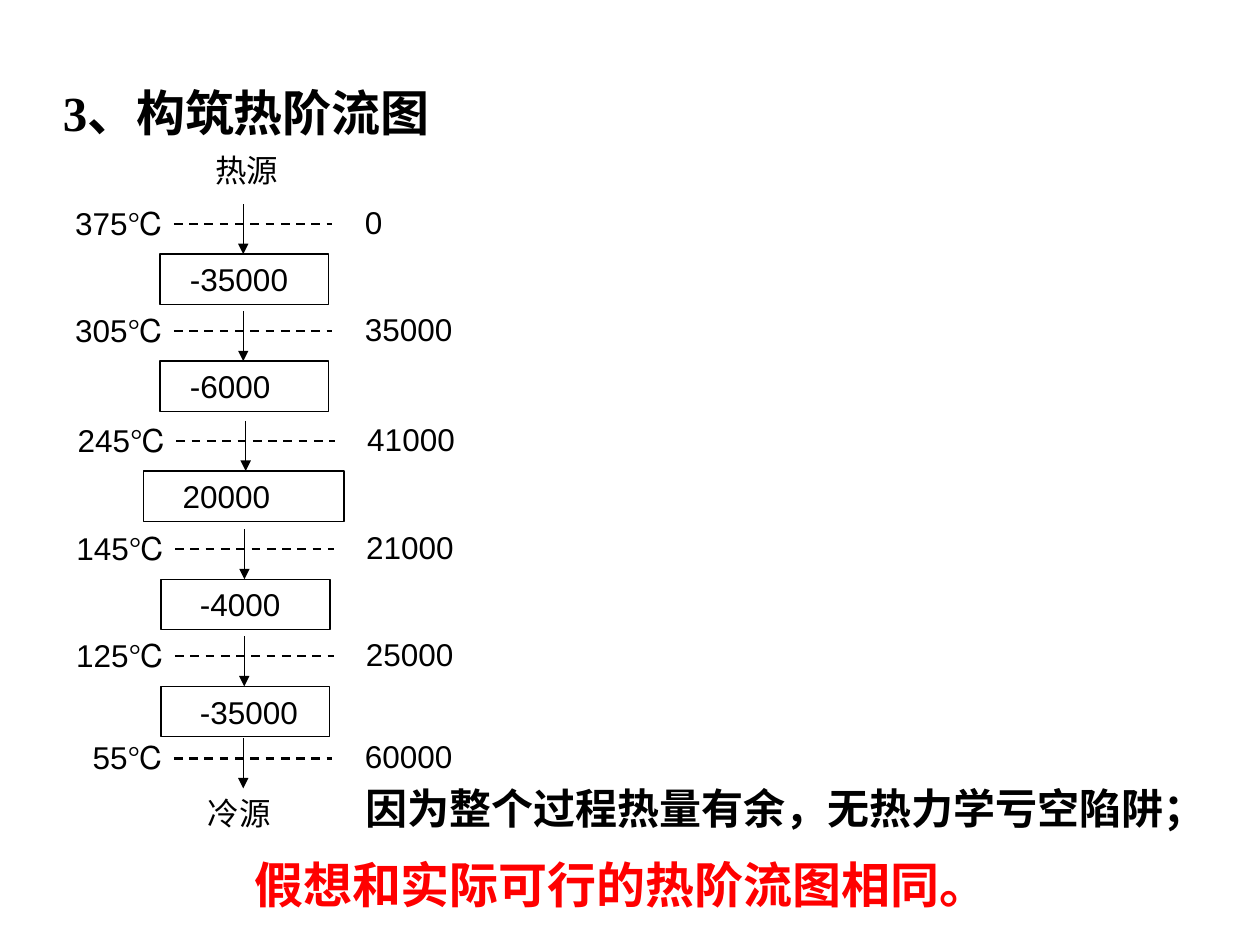
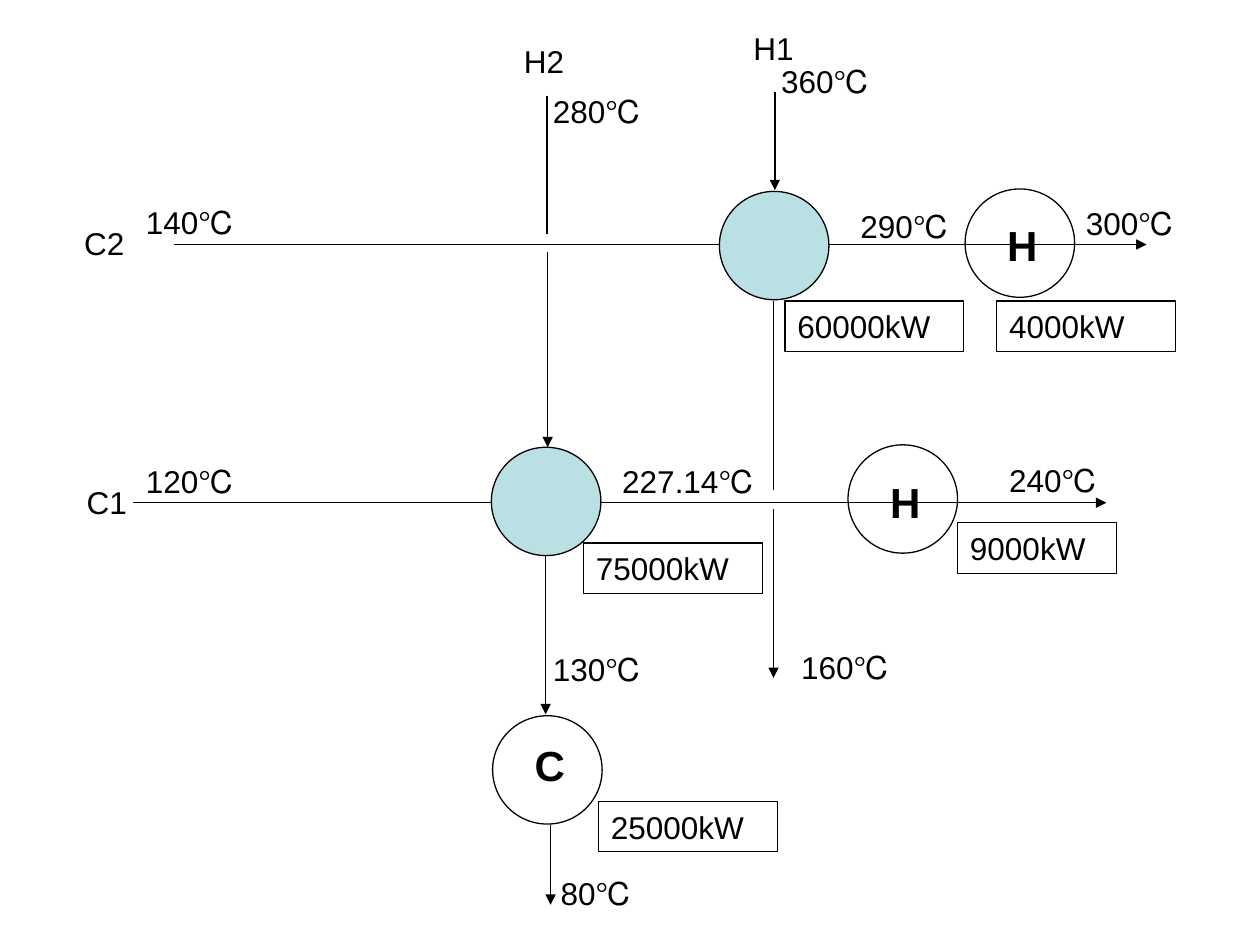
from collections import namedtuple

from lxml.etree import SubElement
from pptx import Presentation
from pptx.dml.color import RGBColor as RGB
from pptx.enum.dml import MSO_LINE as Dash
from pptx.enum.shapes import MSO_CONNECTOR as Link, MSO_SHAPE as Shape
from pptx.enum.text import MSO_ANCHOR as Anchor, MSO_AUTO_SIZE as Fit, PP_ALIGN as Align
from pptx.oxml.ns import qn
from pptx.util import Pt

Box = namedtuple("Box", "x y w h")

COLORS = {"ink": "000000", "alert": "FF0000", "exchanger": "BBE0E3"}
BODY = {"name": "Arial", "size": Pt(18), "bold": False}
TITLE = {"name": "Times New Roman", "size": Pt(28), "bold": True}
REMARK = {"name": "Arial", "size": Pt(24), "bold": True}
VERDICT = {"name": "Arial", "size": Pt(28), "bold": True}
FRAME = {"margin_left": Pt(7.2), "margin_right": Pt(7.2),
         "margin_top": Pt(3.6), "margin_bottom": Pt(3.6), "auto_size": Fit.NONE}
ROW_HEIGHT = 28.8
UNIT_WIDTH, UNIT_HEIGHT = 62.6, 61.9


def color(name):
    return RGB.from_string(COLORS[name])


def apply(target, values):
    for key, value in values.items():
        setattr(target, key, value)


def inside(box, x, y, w=0, h=ROW_HEIGHT):
    return Box(box.x + x, box.y + y, w, h)


def write(holder, text, style=BODY, ink="ink", indent=0, align=Align.LEFT,
          wrap=True, anchor=Anchor.TOP):
    frame = holder.text_frame
    apply(frame, {**FRAME, "margin_left": Pt(7.2 + indent),
                  "word_wrap": wrap, "vertical_anchor": anchor})
    paragraph = frame.paragraphs[0]
    paragraph.alignment = align
    run = paragraph.add_run()
    run.text = text
    apply(run.font, style)
    run.font.color.rgb = color(ink)


def label(slide, box, text, **look):
    write(slide.shapes.add_textbox(*map(Pt, box)), text, **look)


def outline(slide, kind, box, fill=None):
    body = slide.shapes.add_shape(kind, *map(Pt, box))
    body.shadow.inherit = False
    if fill:
        body.fill.solid()
        body.fill.fore_color.rgb = color(fill)
    else:
        body.fill.background()
    body.line.color.rgb = color("ink")
    body.line.width = Pt(0.75)
    return body


def framed(slide, box, text, indent=0):
    write(outline(slide, Shape.RECTANGLE, box), text, indent=indent)


def flow(slide, box, x1, y1, x2, y2, arrow=True, dashed=False):
    ends = (box.x + x1, box.y + y1, box.x + x2, box.y + y2)
    link = slide.shapes.add_connector(Link.STRAIGHT, *map(Pt, ends))
    link.line.color.rgb = color("ink")
    link.line.width = Pt(1.25 if dashed else 0.75)
    if dashed:
        link.line.dash_style = Dash.DASH
    if arrow:
        SubElement(link.line._get_or_add_ln(), qn("a:tailEnd"), type="triangle")
    SubElement(link._element.spPr, qn("a:effectLst"))


def cascade_level(slide, box, temperature, heat):
    label(slide, inside(box, -6, -3.5, 72.3), temperature, align=Align.RIGHT)
    flow(slide, box, 104, 0, 104, 28.6)
    flow(slide, box, 64.4, 11.5, 155, 11.5, arrow=False, dashed=True)
    label(slide, inside(box, 166.4, -4.2, 80), heat)


def cascade(slide, box):
    levels = [
        (0, 33.6, "375℃", "0"),
        (0, 94.8, "305℃", "35000"),
        (1.4, 157.5, "245℃", "41000"),
        (0.7, 219.4, "145℃", "21000"),
        (0.6, 280.6, "125℃", "25000"),
        (0, 338.9, "55℃", "60000"),
    ]
    intervals = [
        ("-35000", 56.4, 96.5, 10),
        ("-6000", 56.4, 96.5, 10),
        ("20000", 45.7, 114.5, 15),
        ("-4000", 56.4, 96.5, 15),
        ("-35000", 56.4, 96.5, 15),
    ]
    label(slide, inside(box, 81, 0, 51), "热源")
    for dx, dy, temperature, heat in levels:
        cascade_level(slide, inside(box, dx, dy), temperature, heat)
    for (dx, dy, *_), (deficit, x, width, indent) in zip(levels, intervals):
        framed(slide, inside(box, x + dx, dy + 28.6, width), deficit, indent)
    label(slide, inside(box, 56.4, 367, 96.5), "冷源", indent=20)


def cascade_slide(slide, box):
    label(slide, inside(box, 28.8, 43.2, 230.4, 41), "3、构筑热阶流图",
          style=TITLE, wrap=False, anchor=Anchor.MIDDLE)
    cascade(slide, inside(box, 35, 83, 320, 396))
    label(slide, inside(box, 202, 443.5, 494, 36),
          "因为整个过程热量有余，无热力学亏空陷阱；", style=REMARK, wrap=False)
    label(slide, inside(box, 138.2, 484.6, 435, 41),
          "假想和实际可行的热阶流图相同。", style=VERDICT, ink="alert",
          wrap=False, anchor=Anchor.MIDDLE)


def streams(slide, box):
    cold = [(59.4, 615.2, 127.7), (36.3, 592.2, 275.3)]
    hot = [
        (272.5, 42.7, 122, False),
        (273, 132, 243.6, True),
        (271.8, 305.5, 396.2, True),
        (274.6, 459.6, 505, True),
        (402.8, 40.6, 96.7, True),
        (402, 160, 268, False),
        (402, 279, 375.4, True),
    ]
    for start, end, y in cold:
        flow(slide, box, start, y, end, y)
    for x, start, end, arrow in hot:
        flow(slide, box, x, start, x, end, arrow)


def unit(slide, box, letter, letter_y, duty, duty_x, duty_y, duty_width):
    outline(slide, Shape.OVAL, box, None if letter else "exchanger")
    if letter:
        label(slide, inside(box, 17, letter_y, 45.4, 36), letter, style=REMARK)
    framed(slide, inside(box, duty_x, duty_y, duty_width), duty)


def units(slide, box):
    for x, y, *parts in [
        (371.1, 97.4, "", 0, "60000kW", 37.4, 62.6, 102.2),
        (240.8, 243.6, "", 0, "75000kW", 52.6, 54.7, 102.2),
        (511.5, 96, "H", 13.7, "4000kW", 18, 64.1, 102.2),
        (444.6, 242.2, "H", 14.4, "9000kW", 62.6, 44.6, 90.7),
        (241.5, 397, "C", 10.1, "25000kW", 60.5, 49, 102.2),
    ]:
        unit(slide, inside(box, x, y, UNIT_WIDTH, UNIT_HEIGHT), *parts)


def stream_labels(slide, box):
    names = [("C1", 2.5, 260.2), ("C2", 1, 112.6), ("H1", 383.4, 1), ("H2", 252.3, 8.2)]
    temperatures = [
        ("140℃", 36.3, 100.3), ("290℃", 444.6, 102.5), ("300℃", 573.4, 101),
        ("120℃", 36.3, 248.6), ("227.14℃", 308.5, 248.6), ("240℃", 529.5, 247.9),
        ("360℃", 399.2, 19.7), ("160℃", 410.7, 354.5),
        ("280℃", 268.9, 37), ("130℃", 268.9, 355.9), ("80℃", 273.2, 484),
    ]
    for entries, width in ((names, 45.4), (temperatures, 73.4)):
        for text, x, y in entries:
            label(slide, inside(box, x, y, max(width, 13 * len(text))), text)


def network_slide(slide, box):
    network = inside(box, 40, 12, 648, 513)
    for draw in (streams, units, stream_labels):
        draw(slide, network)


def main():
    deck = Presentation()
    apply(deck, {"slide_width": Pt(720), "slide_height": Pt(540)})
    for build in (cascade_slide, network_slide):
        build(deck.slides.add_slide(deck.slide_layouts[6]), Box(0, 0, 720, 540))
    deck.save("out.pptx")


if __name__ == "__main__":
    main()
